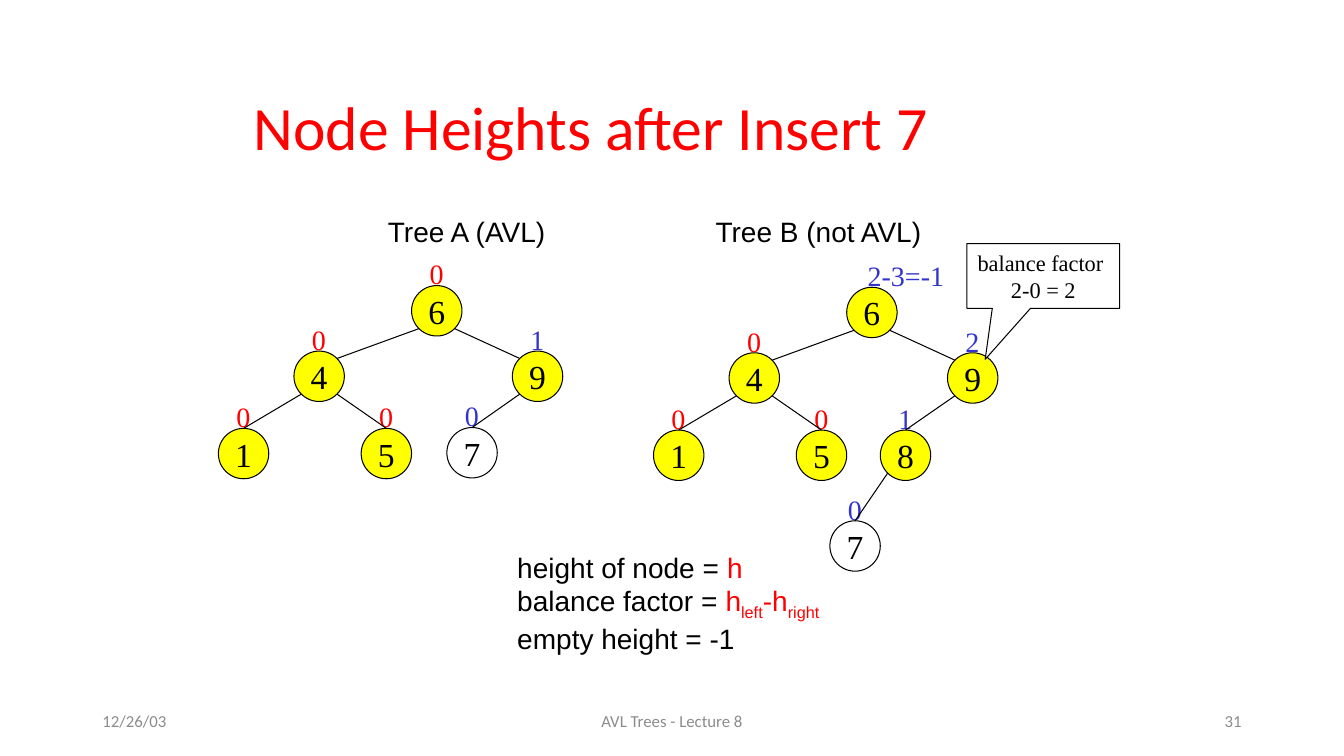
from pptx import Presentation
from pptx.dml.color import RGBColor
from pptx.enum.shapes import MSO_CONNECTOR as LINE, MSO_SHAPE as SHAPE
from pptx.enum.text import MSO_ANCHOR as ANCHOR, PP_ALIGN as ALIGN
from pptx.oxml.ns import qn
from pptx.util import Inches, Pt
from lxml.etree import SubElement

# The slide is a grid of 160 columns by 90 rows
COLS, ROWS = 160, 90
CELL = Inches(13.33) / COLS
RADIUS = 3
CORNER = 2.12  # 45-degree point on a node's rim
RED, BLUE, YELLOW, BLACK, GREY = "FF0000", "3333CC", "FFFF00", "000000", "8C8C8C"
SERIF = "Times New Roman"

# node: (parent, column and row from the root, fill)
COMMON_NODES = {
    "6": (None, 0, 0, YELLOW),
    "4": ("6", -14, 7.8, YELLOW),
    "9": ("6", 12, 7.8, YELLOW),
    "1": ("4", -23, 17, YELLOW),
    "5": ("4", -6, 17, YELLOW),
}
TREE_A = COMMON_NODES | {"7": ("9", 4.2, 16.9, None)}
TREE_B = COMMON_NODES | {"8": ("9", 4, 17, YELLOW), "7": ("8", -2, 27.8, None)}

# node: (text above it, colour)
COMMON_FACTORS = {"4": ("0", RED), "1": ("0", RED), "5": ("0", RED), "7": ("0", BLUE)}
FACTORS_A = COMMON_FACTORS | {"6": ("0", RED), "9": ("1", BLUE)}
FACTORS_B = COMMON_FACTORS | {"6": ("2-3=-1", BLUE), "9": ("2", BLUE), "8": ("1", BLUE)}


def grid(*cells):
    return [round(c * CELL) for c in cells]


def color(hex_code):
    return RGBColor.from_string(hex_code)


def style(p, size, font, hex_code, align=ALIGN.LEFT):
    p.alignment = align
    for r in p.runs:
        r.font.size, r.font.name = Pt(size), font
        r.font.color.rgb = color(hex_code)


def add_text(s, box, text, size, font, hex_code, align=ALIGN.LEFT,
             anchor=ANCHOR.TOP, wrap=False):
    tf = s.shapes.add_textbox(*grid(*box)).text_frame
    tf.word_wrap, tf.vertical_anchor = wrap, anchor
    tf.text = text
    style(tf.paragraphs[0], size, font, hex_code, align)
    return tf


def add_outlined(s, kind, box, text, size, fill):
    sp = s.shapes.add_shape(kind, *grid(*box))
    sp.shadow.inherit = False
    if fill:
        sp.fill.solid()
        sp.fill.fore_color.rgb = color(fill)
    else:
        sp.fill.background()
    sp.line.color.rgb, sp.line.width = color(BLACK), Pt(0.75)
    tf = sp.text_frame
    tf.word_wrap, tf.vertical_anchor = False, ANCHOR.MIDDLE
    tf.text = text
    for p in tf.paragraphs:
        style(p, size, SERIF, BLACK, ALIGN.CENTER)
    return sp


def add_edge(s, start, end):
    line = s.shapes.add_connector(LINE.STRAIGHT, *grid(*start, *end))
    line.line.color.rgb, line.line.width = color(BLACK), Pt(0.75)
    SubElement(line._element.spPr, qn("a:effectLst"))


def add_tree(s, root_x, root_y, nodes, factors):
    centers = {n: (root_x + dx, root_y + dy) for n, (_, dx, dy, _) in nodes.items()}
    parents = {parent for parent, *_ in nodes.values()}

    # Heights and balance factors
    for n, (text, hex_code) in factors.items():
        x, y = centers[n]
        left, width = (x - 2.04, 4.1) if len(text) == 1 else (x - 1.7, 11.5)
        add_text(s, (left, y - 7, width, 5.25), text, 20, SERIF, hex_code)

    # Nodes
    for n, (x, y) in centers.items():
        box = (x - RADIUS, y - RADIUS, 2 * RADIUS, 2 * RADIUS)
        add_outlined(s, SHAPE.OVAL, box, n, 24, nodes[n][3])

    # Edges: leaves and the third level are met at the top, others at a corner
    for n, (parent, *_) in nodes.items():
        if parent is None:
            continue
        (px, py), (x, y) = centers[parent], centers[n]
        side = CORNER if x > px else -CORNER
        inner = parent == "6" and n in parents
        end = (x - side, y - CORNER) if inner else (x, y - RADIUS)
        add_edge(s, (px + side, py + CORNER), end)


def add_legend(s):
    tf = add_text(s, (60.4, 64.9, 39.6, 13.3), "", 20, "Arial", BLACK)
    # Each line holds (text, colour, baseline shift)
    lines = [
        [("height of node = ", BLACK, 0), ("h", RED, 0)],
        [("balance factor = ", BLACK, 0), ("h", RED, 0), ("left", RED, -25),
         ("-h", RED, 0), ("right", RED, -25)],
        [("empty height = -1", BLACK, 0)],
    ]
    for i, parts in enumerate(lines):
        p = tf.add_paragraph() if i else tf.paragraphs[0]
        for text, hex_code, shift in parts:
            r = p.add_run()
            r.text = text
            r.font.size, r.font.name = Pt(20), "Arial"
            r.font.color.rgb = color(hex_code)
            if shift:
                r.font._element.set("baseline", str(shift * 1000))


def add_title(s, text):
    sp = s.shapes.title
    sp.left, sp.top, sp.width, sp.height = grid(29, 8, 102, 15)
    tf = sp.text_frame
    tf.text = text
    tf.word_wrap, tf.vertical_anchor = True, ANCHOR.MIDDLE
    style(tf.paragraphs[0], 44, "Calibri", RED)
    tf.paragraphs[0].line_spacing = 0.9


def main():
    prs = Presentation()
    prs.slide_width, prs.slide_height = grid(COLS, ROWS)
    s = prs.slides.add_slide(prs.slide_layouts[5])
    add_title(s, "Node Heights after Insert 7")

    # Footer row
    for left, width, text, align in [
        (11, 36, "12/26/03", ALIGN.LEFT),
        (53, 54, "AVL Trees - Lecture 8", ALIGN.CENTER),
        (113, 36, "31", ALIGN.RIGHT),
    ]:
        add_text(s, (left, 83.4, width, 4.8), text, 12, "Calibri", GREY,
                 align, ANCHOR.MIDDLE, wrap=True)

    # Trees and their headings
    add_tree(s, 52, 37, TREE_A, FACTORS_A)
    add_tree(s, 103.8, 37.2, TREE_B, FACTORS_B)
    for left, width, text in [(45, 22, "Tree A (AVL)"), (84, 30, "Tree B (not AVL)")]:
        add_text(s, (left, 25, width, 5.25), text, 20, "Arial", BLACK, wrap=True)

    add_legend(s)

    # Callout on node 9
    callout = add_outlined(s, SHAPE.RECTANGULAR_CALLOUT, (115.1, 29, 18.2, 7.7),
                           "balance factor \n2-0 = 2", 16, "FFFFFF")
    callout.adjustments[0], callout.adjustments[1] = -0.38, 1.29

    prs.save("out.pptx")


if __name__ == "__main__":
    main()
